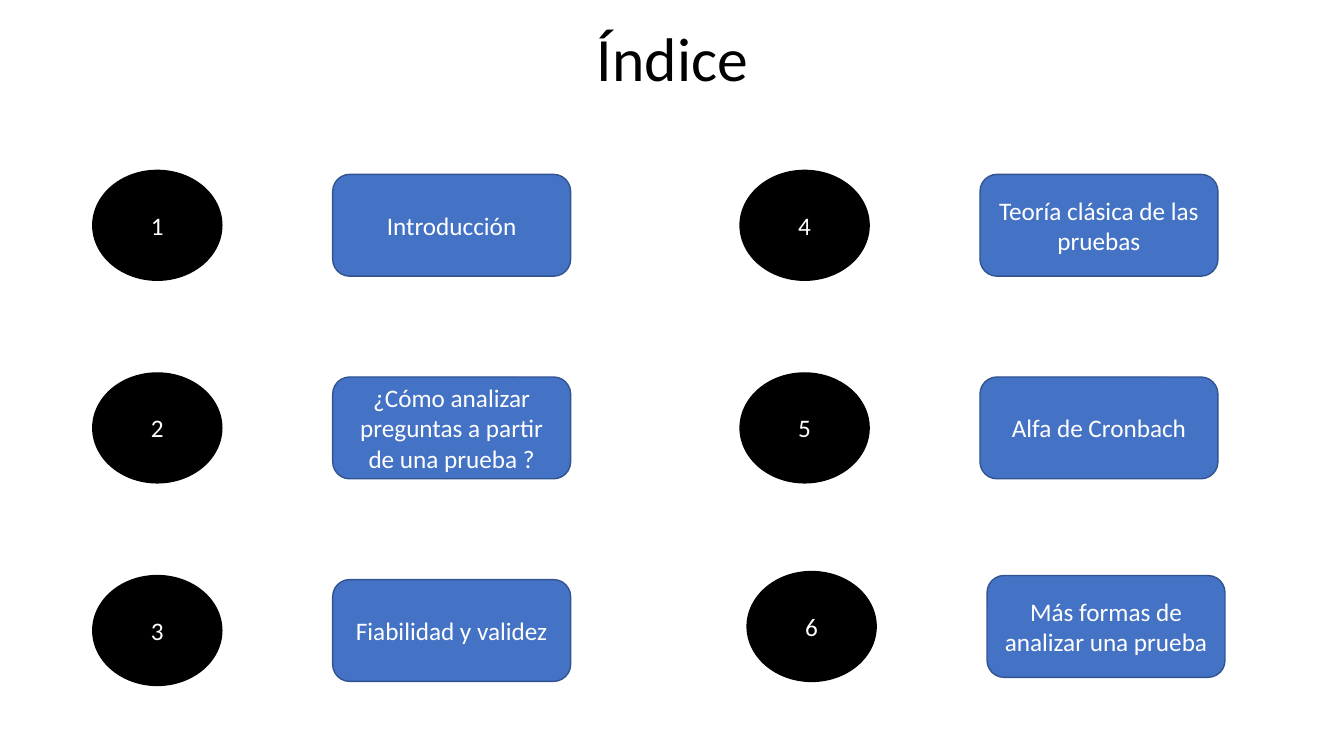
from pptx import Presentation
from pptx.dml.color import RGBColor as Rgb
from pptx.enum.shapes import MSO_SHAPE as Shape
from pptx.enum.text import MSO_ANCHOR as Anchor, PP_ALIGN as Align
from pptx.util import Inches, Pt

COLORS = {"black": "000000", "white": "FFFFFF", "blue": "4472C4", "edge": "325491"}
TOPICS = [
    "Introducción",
    "¿Cómo analizar preguntas a partir de una prueba ?",
    "Fiabilidad y validez",
    "Teoría clásica de las pruebas",
    "Alfa de Cronbach",
    "Más formas de analizar una prueba",
]
ROWS = 3
LEFT, TOP = 0.92, 1.69
COL_STEP, ROW_STEP = 6.42, 2.01
SHIFTS = {6: (0.07, -0.04)}


class Deck:
    font = "Calibri"

    def __init__(self):
        self.prs = Presentation()
        self.prs.slide_width = Inches(13.33)
        self.prs.slide_height = Inches(7.5)
        self.slide = self.prs.slides.add_slide(self.prs.slide_layouts[5])

    def color(self, name):
        return Rgb.from_string(COLORS[name])

    def label(self, shape, text, size, color):
        frame = shape.text_frame
        frame.word_wrap = True
        frame.vertical_anchor = Anchor.MIDDLE
        para = frame.paragraphs[0]
        para.text = text
        para.alignment = Align.CENTER
        para.font.name = self.font
        para.font.size = Pt(size)
        para.font.color.rgb = self.color(color)
        return para

    def title(self, text, x, y, w, h):
        shape = self.slide.shapes.title
        shape.left, shape.top = Inches(x), Inches(y)
        shape.width, shape.height = Inches(w), Inches(h)
        self.label(shape, text, 44, "black").line_spacing = 0.9

    def block(self, kind, text, x, y, w, h, fill, edge):
        shape = self.slide.shapes.add_shape(
            kind, Inches(x), Inches(y), Inches(w), Inches(h))
        shape.shadow.inherit = False
        shape.fill.solid()
        shape.fill.fore_color.rgb = self.color(fill)
        shape.line.color.rgb = self.color(edge)
        shape.line.width = Pt(1)
        self.label(shape, text, 18, "white")

    def badge(self, num, x, y):
        self.block(Shape.OVAL, str(num), x, y, 1.28, 1.09, "black", "black")

    def topic(self, text, x, y):
        self.block(Shape.ROUNDED_RECTANGLE, text, x, y, 2.36, 1.01, "blue", "edge")


def main():
    deck = Deck()
    deck.title("Índice", 0.92, 0.17, 11.5, 0.89)
    for num, text in enumerate(TOPICS, 1):
        col, row = divmod(num - 1, ROWS)
        dx, dy = SHIFTS.get(num, (0, 0))
        x = LEFT + col * COL_STEP + dx
        y = TOP + row * ROW_STEP + dy
        deck.badge(num, x, y)
        deck.topic(text, x + 2.38, y + 0.04)
    deck.prs.save("out.pptx")


if __name__ == "__main__":
    main()
